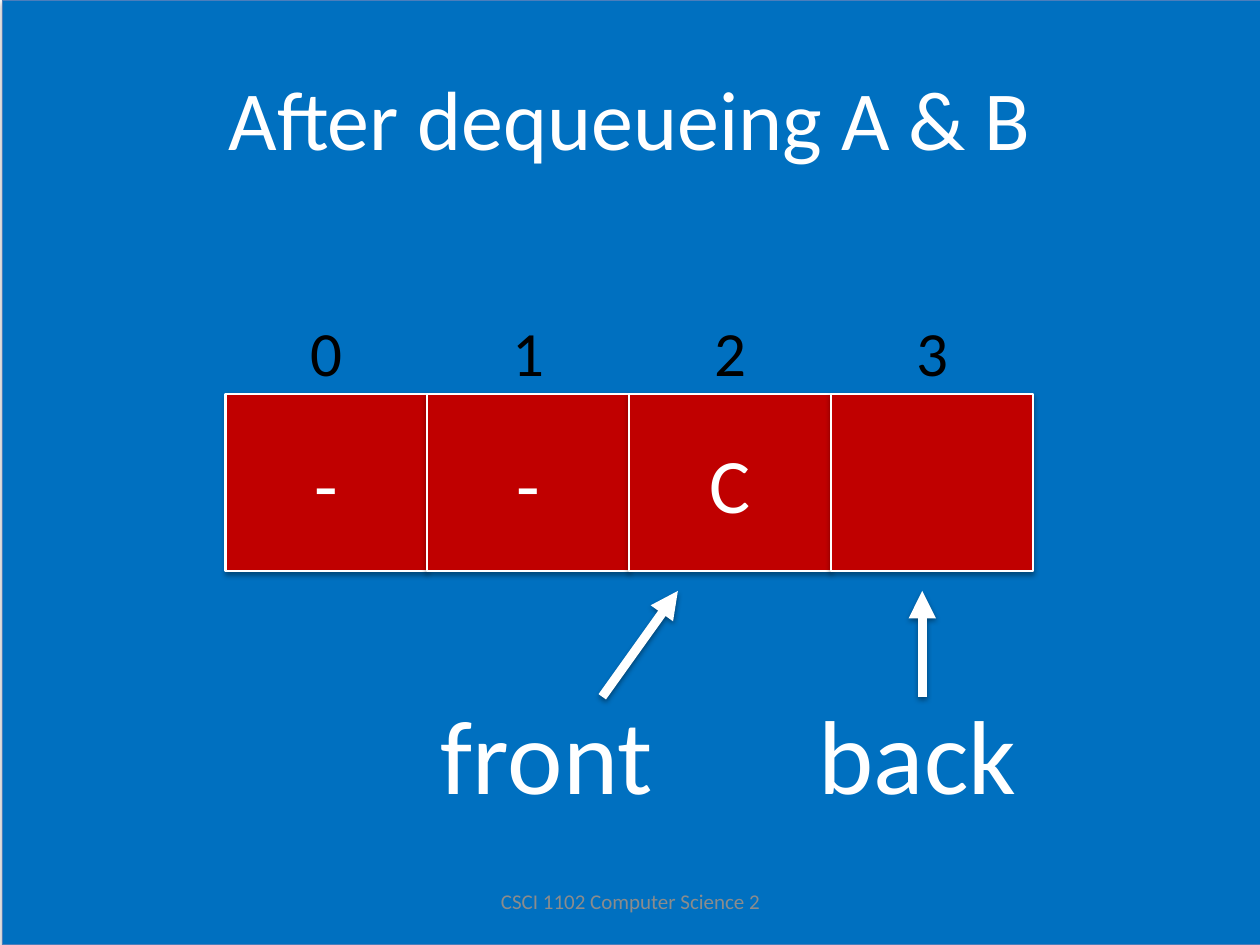
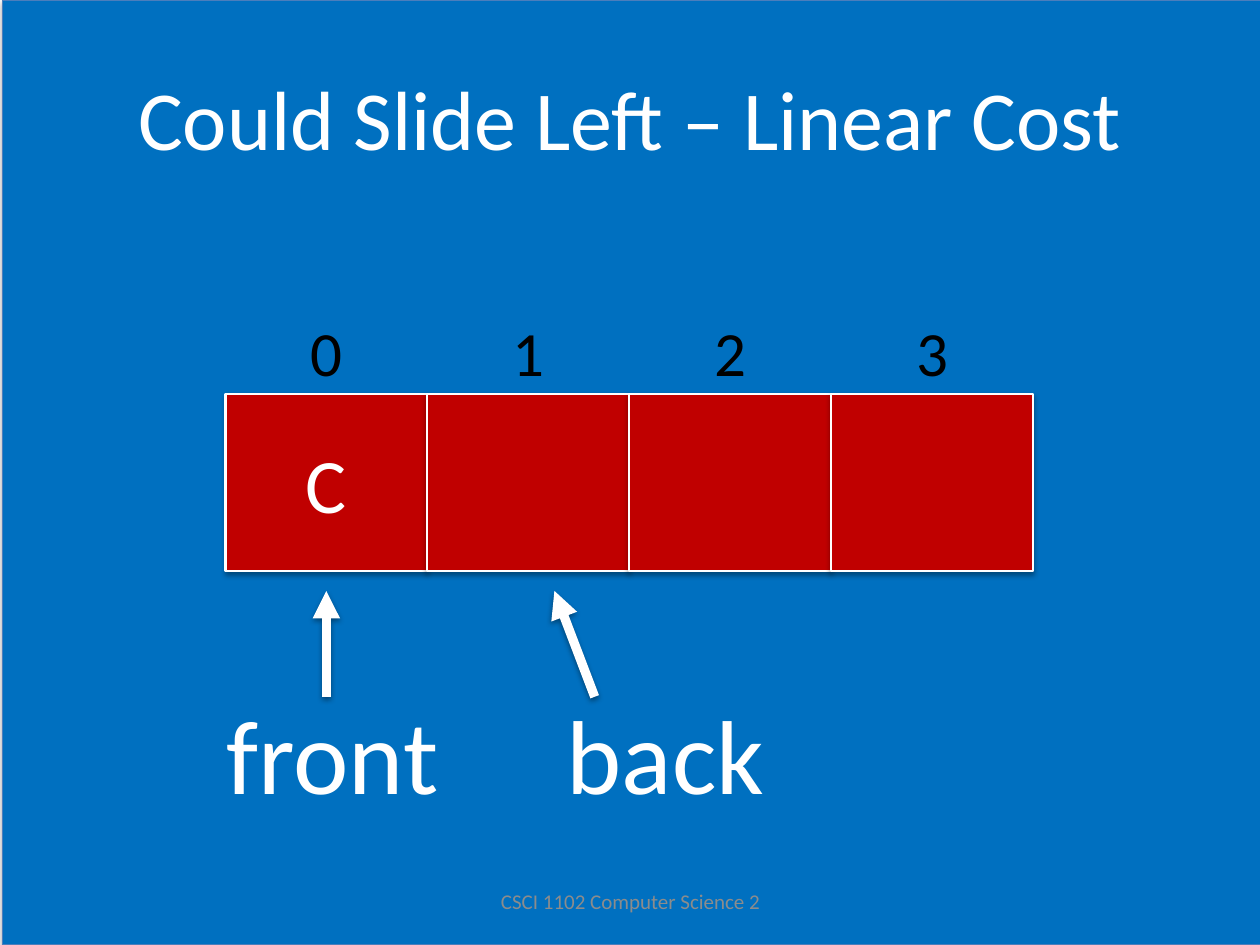
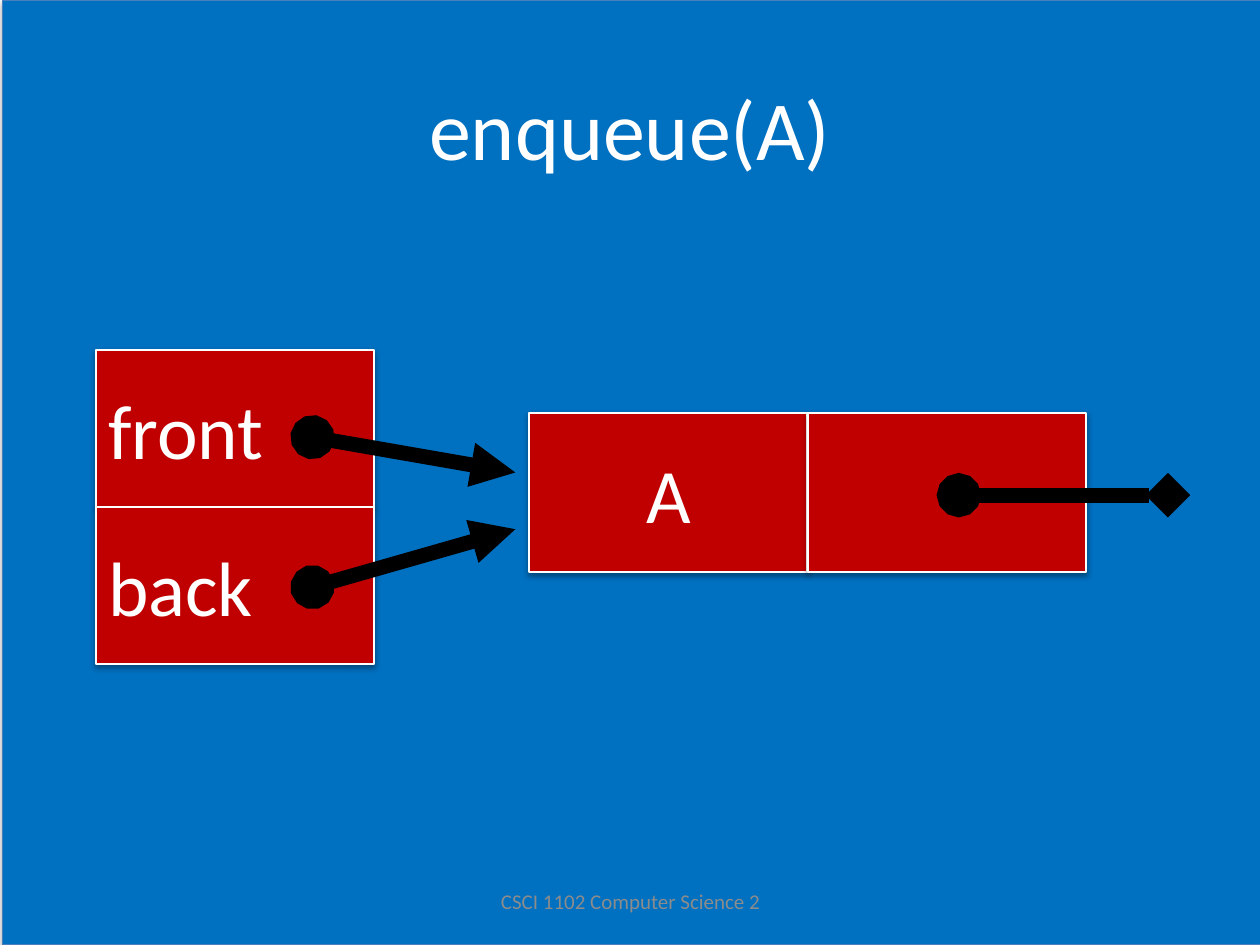
from collections import namedtuple

from lxml import etree
from pptx import Presentation
from pptx.dml.color import RGBColor
from pptx.enum.shapes import MSO_CONNECTOR, MSO_SHAPE
from pptx.enum.text import MSO_ANCHOR, PP_ALIGN
from pptx.oxml.ns import qn
from pptx.util import Emu, Inches, Pt

RECTANGLE = MSO_SHAPE.RECTANGLE
STRAIGHT = MSO_CONNECTOR.STRAIGHT
LEFT, CENTER = PP_ALIGN.LEFT, PP_ALIGN.CENTER
TOP, MIDDLE = MSO_ANCHOR.TOP, MSO_ANCHOR.MIDDLE

COLORS = {
    "backdrop": "0070C0",
    "backdrop_edge": "4B7EBC",
    "cell": "C00000",
    "light": "FFFFFF",
    "dark": "000000",
    "footer": "8C8C8C",
}
FONT = "Calibri"
COLUMNS, ROWS = 100, 75
SLIDE_WIDTH, SLIDE_HEIGHT = Inches(10), Inches(7.5)

Box = namedtuple("Box", "left top width height")
Pointer = namedtuple("Pointer", "word label_left label_width tail_x tip_x")

BACKDROP = Box(0.2, 0, COLUMNS, ROWS)
TITLE = Box(5, 3, 90, 12.5)
FOOTER = Box(34.2, 69.5, 31.7, 4)
ARRAY = Box(17.9, 31.3, 64.1, 14)
QUEUE = Box(7.6, 27.8, 22.1, 24.9)
NODE = Box(42, 32.8, 44.2, 12.6)


def across(columns):
    """Convert grid columns to a length."""
    return Emu(round(columns * SLIDE_WIDTH / COLUMNS))


def down(rows):
    """Convert grid rows to a length."""
    return Emu(round(rows * SLIDE_HEIGHT / ROWS))


def place(box):
    """Convert a grid box to left, top, width and height."""
    return across(box.left), down(box.top), across(box.width), down(box.height)


def split(box, columns=1, rows=1):
    """Divide a box into equal cells, row by row."""
    width, height = box.width / columns, box.height / rows
    return [Box(box.left + column * width, box.top + row * height, width, height)
            for row in range(rows) for column in range(columns)]


def color(name):
    """Look up a shared colour."""
    return RGBColor.from_string(COLORS[name])


def set_effects(item, distance=0, opacity=0):
    """Replace the theme shadow with a soft drop shadow or with none."""
    properties = item._element.spPr
    for old in properties.findall(qn("a:effectLst")):
        properties.remove(old)
    effects = etree.SubElement(properties, qn("a:effectLst"))
    if opacity:
        shadow = etree.SubElement(
            effects, qn("a:outerShdw"), blurRad=str(Pt(3.1)), dist=str(Pt(distance)),
            dir="5400000", rotWithShape="0")
        tint = etree.SubElement(shadow, qn("a:srgbClr"), val=COLORS["dark"])
        etree.SubElement(tint, qn("a:alpha"), val=str(opacity * 1000))


def write(frame, words, size, ink="light", align=CENTER, anchor=MIDDLE):
    """Set one styled paragraph in a text frame."""
    frame.word_wrap = True
    frame.vertical_anchor = anchor
    paragraph = frame.paragraphs[0]
    paragraph.text = words
    paragraph.alignment = align
    paragraph.font.name = FONT
    paragraph.font.size = Pt(size)
    paragraph.font.color.rgb = color(ink)


def add_label(shapes, box, words, size, **style):
    """Add text without a frame."""
    write(shapes.add_textbox(*place(box)).text_frame, words, size, **style)


def add_block(shapes, box, fill, edge, weight):
    """Add a filled rectangle with a drop shadow."""
    block = shapes.add_shape(RECTANGLE, *place(box))
    block.fill.solid()
    block.fill.fore_color.rgb = color(fill)
    block.line.color.rgb = color(edge)
    block.line.width = Pt(weight)
    set_effects(block, 1.8, 35)
    return block


def add_cell(shapes, box, words="", align=CENTER):
    """Add one red memory cell."""
    cell = add_block(shapes, box, "cell", "light", 1.25)
    if words:
        write(cell.text_frame, words, 44, align=align)


def add_arrow(shapes, start, end, ink, weight, head="none", tail="triangle"):
    """Add a straight line with the given ends."""
    arrow = shapes.add_connector(
        STRAIGHT, across(start[0]), down(start[1]), across(end[0]), down(end[1]))
    arrow.line.color.rgb = color(ink)
    arrow.line.width = Pt(weight)
    outline = arrow.line._get_or_add_ln()
    etree.SubElement(outline, qn("a:headEnd"), type=head)
    etree.SubElement(outline, qn("a:tailEnd"), type=tail)
    set_effects(arrow)
    return arrow


def start_slide(deck, title, title_box=TITLE):
    """Add a slide with the shared backdrop, title and footer."""
    shapes = deck.slides.add_slide(deck.slide_layouts[6]).shapes
    add_block(shapes, BACKDROP, "backdrop", "backdrop_edge", 0.75)
    add_label(shapes, title_box, title, 48)
    add_label(shapes, FOOTER, "CSCI 1102 Computer Science 2", 12, ink="footer")
    return shapes


def draw_array(shapes, box, values):
    """Draw grouped array cells with their indices above."""
    array = shapes.add_group_shape().shapes
    cells = split(box, columns=len(values))
    for cell, value in zip(cells, values):
        add_cell(array, cell, value)
    for index, cell in enumerate(cells):
        middle = cell.left + cell.width / 2
        add_label(array, Box(middle - 2.3, box.top - 6.9, 4.6, 7.1), str(index), 36,
                  ink="dark", anchor=TOP)


def draw_pointer(shapes, box, pointer):
    """Draw a named arrow that points up at the array in the box."""
    bottom = box.top + box.height
    label = Box(box.left + pointer.label_left, bottom + 8.9, pointer.label_width, 11.8)
    add_label(shapes, label, pointer.word, 60, align=LEFT, anchor=TOP)
    arrow = add_arrow(shapes, (box.left + pointer.tail_x, bottom + 10),
                      (box.left + pointer.tip_x, bottom + 1.6), "light", 5.25)
    set_effects(arrow, 1.6, 38)


def array_slide(deck, title, values, pointers):
    """Build a slide of an array queue with its two pointers."""
    shapes = start_slide(deck, title)
    draw_array(shapes, ARRAY, values)
    for pointer in pointers:
        draw_pointer(shapes, ARRAY, pointer)


def draw_link(shapes, start, end, tail="triangle"):
    """Draw a heavy link that starts with a dot."""
    add_arrow(shapes, start, end, "dark", 8.5, head="oval", tail=tail)


def draw_node(shapes, box, value):
    """Draw a list node whose next link is empty."""
    value_cell, next_cell = split(box, columns=2)
    add_cell(shapes, value_cell, value)
    add_cell(shapes, next_cell)
    middle = box.top + 6.5
    draw_link(shapes, (next_cell.left + 12, middle),
              (next_cell.left + 28.6, middle), "diamond")


def draw_queue(shapes, box, node):
    """Draw the queue record and link both of its fields to the node."""
    fields = (("front", 6.9, 4.7), ("back", 18.8, 9.2))
    for cell, (word, _, _) in zip(split(box, rows=len(fields)), fields):
        add_cell(shapes, cell, word, LEFT)
    for _, dot_y, tip_y in fields:
        draw_link(shapes, (box.left + 17.2, box.top + dot_y),
                  (node.left - 1.1, node.top + tip_y))


def linked_slide(deck, title, value):
    """Build a slide of a linked queue that holds one node."""
    shapes = start_slide(deck, title, TITLE._replace(top=3.8))
    draw_node(shapes, NODE, value)
    draw_queue(shapes, QUEUE, NODE)


def main():
    """Build and save the deck."""
    deck = Presentation()
    deck.slide_width, deck.slide_height = SLIDE_WIDTH, SLIDE_HEIGHT
    array_slide(deck, "After dequeueing A & B", ["-", "-", "C", ""], [
        Pointer("front", 16.1, 22.4, 29.9, 35.9),
        Pointer("back", 46.1, 18.8, 55.3, 55.3),
    ])
    array_slide(deck, "Could Slide Left – Linear Cost", ["C", "", "", ""], [
        Pointer("back", 26.1, 18.8, 29.3, 26.1),
        Pointer("front", -0.9, 22.4, 8, 8),
    ])
    linked_slide(deck, "enqueue(A)", "A")
    deck.save("out.pptx")


if __name__ == "__main__":
    main()
